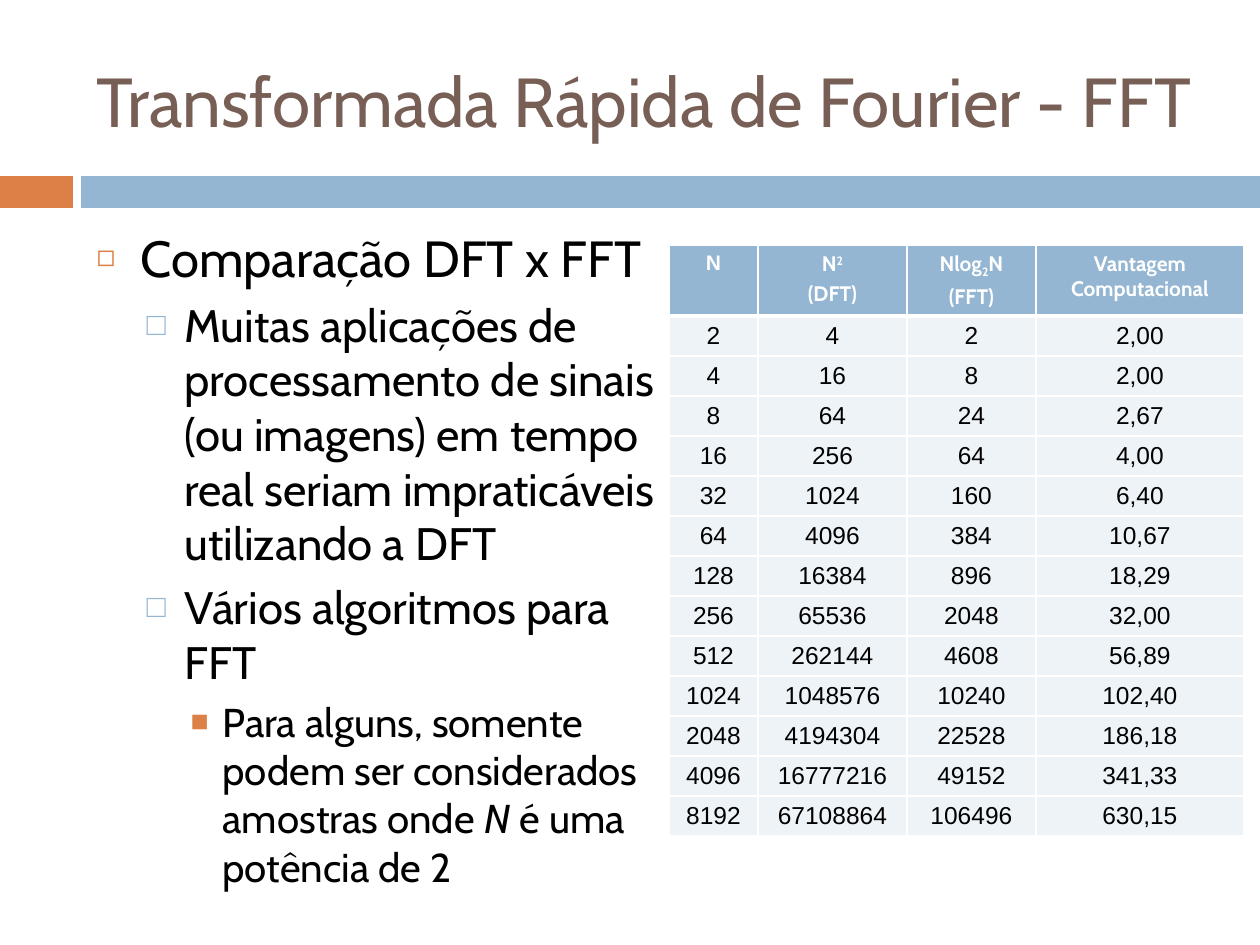
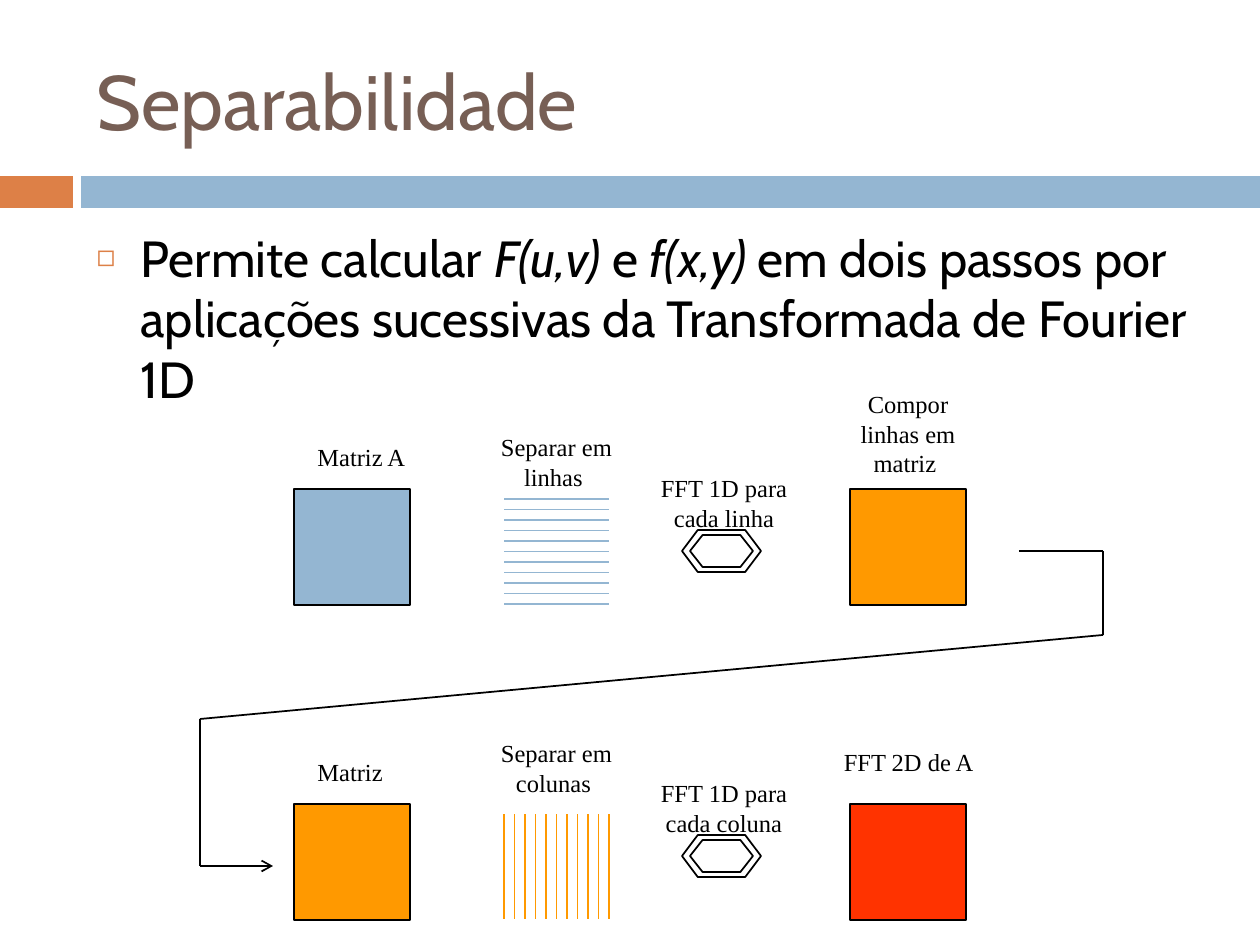
from lxml.etree import SubElement
from pptx import Presentation
from pptx.dml.color import RGBColor
from pptx.enum.shapes import MSO_CONNECTOR, MSO_SHAPE as Preset
from pptx.enum.text import MSO_ANCHOR as Anchor, MSO_AUTO_SIZE as AutoSize, PP_ALIGN as Align
from pptx.oxml.ns import qn
from pptx.util import Emu, Pt

WHITE = RGBColor(0xFF, 0xFF, 0xFF)
BLACK = RGBColor(0x00, 0x00, 0x00)
BROWN = RGBColor(0x77, 0x5F, 0x55)
RUST = RGBColor(0xDD, 0x80, 0x47)
BLUE = RGBColor(0x94, 0xB6, 0xD2)
PALE = RGBColor(0xEE, 0xF3, 0xF7)
ORANGE = RGBColor(0xFF, 0x99, 0x00)
RED = RGBColor(0xFF, 0x33, 0x00)

EMU_PER_PX = 914400 / 126
MAIN_FONT, TABLE_FONT, LABEL_FONT = "Cabin", "Arial", "Times New Roman"

# Each level: margin px, hanging px, space before, bullet, bullet colour, bullet %, text size
LEVELS = [
    (44, 44, 7, "◻", RUST, 60, 29),
    (88, 38, 5.5, "□", BLUE, 70, 26),
    (126, 32, 5, "■", RUST, 75, 23),
]
ITALIC = {"italic": True}
COMPARISON_POINTS = [
    (0, [("Comparação DFT x FFT", {})]),
    (1, [("Muitas aplicações de processamento de sinais (ou imagens) em tempo real "
          "seriam impraticáveis utilizando a DFT", {})]),
    (1, [("Vários algoritmos para FFT", {})]),
    (2, [("Para alguns, somente podem ser considerados amostras onde ", {}),
         ("N", ITALIC), (" é uma potência de 2", {})]),
]
SEPARABILITY_POINTS = [
    (0, [("Permite calcular ", {}), ("F(u,v)", ITALIC), (" e ", {}), ("f(x,y)", ITALIC),
         (" em dois passos por aplicações sucessivas da Transformada de Fourier 1D", {})]),
]
TABLE_HEADER = [
    [[("N", {"font": TABLE_FONT})]],
    [[("N", {}), ("2", {"baseline": 30})], [("(DFT)", {})]],
    [[("Nlog", {}), ("2", {"baseline": -25}), ("N", {})], [("(FFT)", {})]],
    [[("Vantagem Computacional", {})]],
]
ADVANTAGES = ["2,00", "2,00", "2,67", "4,00", "6,40", "10,67", "18,29", "32,00", "56,89",
              "102,40", "186,18", "341,33", "630,15"]


def px(length):
    """Turn pixels into EMU."""
    return Emu(round(length * EMU_PER_PX))


def write(paragraph, text, font=MAIN_FONT, size=14, color=BLACK, bold=False, italic=False,
          baseline=0):
    """Add one formatted run to a paragraph."""
    run = paragraph.add_run()
    run.text = text
    run.font.name = font
    run.font.size = Pt(size)
    run.font.color.rgb = color
    run.font.bold = bold
    run.font.italic = italic
    if baseline:
        run._r.get_or_add_rPr().set("baseline", str(baseline * 1000))


def place(shape, left, top, width, height):
    """Move and size a shape."""
    shape.left, shape.top, shape.width, shape.height = map(px, (left, top, width, height))


def add_preset(slide, preset, box, fill=None, line=None):
    """Draw a plain preset shape."""
    shape = slide.shapes.add_shape(preset, *map(px, box))
    shape.shadow.inherit = False
    if fill is None:
        shape.fill.background()
    else:
        shape.fill.solid()
        shape.fill.fore_color.rgb = fill
    if line is None:
        shape.line.fill.background()
    else:
        shape.line.color.rgb = line
        shape.line.width = Pt(1)
    return shape


def add_line(slide, start, end, color=BLACK, arrow=False):
    """Draw a straight line, optionally with an arrowhead at its end."""
    line = slide.shapes.add_connector(MSO_CONNECTOR.STRAIGHT, *map(px, (*start, *end)))
    line.line.color.rgb = color
    line.line.width = Pt(1)
    properties = line._element.spPr
    SubElement(properties, qn("a:effectLst"))
    if arrow:
        SubElement(properties.find(qn("a:ln")), qn("a:tailEnd"), type="arrow")


def add_label(slide, text, box, align=Align.CENTER):
    """Write a diagram caption."""
    frame = slide.shapes.add_textbox(*map(px, box)).text_frame
    frame.word_wrap = True
    paragraph = frame.paragraphs[0]
    paragraph.alignment = align
    write(paragraph, text, font=LABEL_FONT)


def add_bands(slide, layout, top=176, height=32):
    """Put the two coloured bands on the shared layout."""
    for left, width, color in ((0, 73, RUST), (81, 1179, BLUE)):
        band = add_preset(slide, Preset.RECTANGLE, (left, top, width, height), color)
        layout.shapes.element.append(band._element)


def fill_title(slide, text, size):
    """Format and fill the title placeholder."""
    title = slide.shapes.title
    place(title, 84, 32, 1124, 136)
    frame = title.text_frame
    frame.auto_size = AutoSize.NONE
    frame.vertical_anchor = Anchor.MIDDLE
    frame.paragraphs[0].alignment = Align.LEFT
    write(frame.paragraphs[0], text, size=size, color=BROWN)


def add_bullet(paragraph, margin, hanging, character, color, percent):
    """Give a paragraph its indent and bullet."""
    properties = paragraph._p.get_or_add_pPr()
    properties.set("marL", str(px(margin)))
    properties.set("indent", str(-px(hanging)))
    bullet_color = SubElement(properties, qn("a:buClr"))
    SubElement(bullet_color, qn("a:srgbClr"), val=str(color))
    SubElement(properties, qn("a:buSzPct"), val=str(percent * 1000))
    SubElement(properties, qn("a:buChar"), char=character)


def fill_body(slide, points, width):
    """Format and fill the body placeholder with levelled points."""
    body = slide.placeholders[1]
    place(body, 84, 220, width, 620)
    frame = body.text_frame
    frame.auto_size = AutoSize.NONE
    for index, (level, pieces) in enumerate(points):
        paragraph = frame.add_paragraph() if index else frame.paragraphs[0]
        margin, hanging, space, character, color, percent, size = LEVELS[level]
        paragraph.level = level
        add_bullet(paragraph, margin, hanging, character, color, percent)
        paragraph.space_before = Pt(space if index else 0)
        for text, options in pieces:
            write(paragraph, text, size=size, **options)


def fill_cell(cell, paragraphs, fill, bottom=1, **options):
    """Fill one table cell and draw its white borders."""
    properties = cell._tc.get_or_add_tcPr()
    for side, points in (("L", 1), ("R", 1), ("T", 1), ("B", bottom)):
        border = SubElement(properties, qn(f"a:ln{side}"), w=str(Pt(points)))
        SubElement(SubElement(border, qn("a:solidFill")), qn("a:srgbClr"), val=str(WHITE))
    cell.fill.solid()
    cell.fill.fore_color.rgb = fill
    cell.margin_top, cell.margin_bottom = px(6), px(5)
    for index, pieces in enumerate(paragraphs):
        frame = cell.text_frame
        paragraph = frame.add_paragraph() if index else frame.paragraphs[0]
        paragraph.alignment = Align.CENTER
        paragraph.space_before = Pt(2.4 if index else 0)
        for text, extra in pieces:
            write(paragraph, text, **{**options, **extra})


def add_cost_table(slide, left, top, header_height=71, row_height=40):
    """Compare the DFT and FFT operation counts for powers of two."""
    widths = [89, 149, 129, 208]
    row_count = len(ADVANTAGES)
    height = header_height + row_height * row_count
    box = map(px, (left, top, sum(widths), height))
    table = slide.shapes.add_table(row_count + 1, len(widths), *box).table
    for column, width in zip(table.columns, widths):
        column.width = px(width)
    for index, row in enumerate(table.rows):
        row.height = px(row_height if index else header_height)
    for column, paragraphs in enumerate(TABLE_HEADER):
        fill_cell(table.cell(0, column), paragraphs, BLUE, bottom=3,
                  size=12, color=WHITE, bold=True)
    for power, advantage in enumerate(ADVANTAGES, start=1):
        count = 2 ** power
        values = (count, count ** 2, count * power, advantage)
        for column, value in enumerate(values):
            fill_cell(table.cell(power, column), [[(str(value), {})]], PALE, font=TABLE_FONT)


def add_strips(slide, left, top, color, vertical, side=105, gaps=10):
    """Draw a matrix split into evenly spaced rows or columns."""
    for index in range(gaps + 1):
        offset = side * index / gaps
        if vertical:
            start, end = (left + offset, top + side), (left + offset, top)
        else:
            start, end = (left, top + offset), (left + side, top + offset)
        add_line(slide, start, end, color)


def add_transform(slide, left, top, text):
    """Draw the double hexagon with its caption above."""
    add_preset(slide, Preset.FLOWCHART_PREPARATION, (left + 8, top + 5, 63, 32), line=BLACK)
    add_preset(slide, Preset.FLOWCHART_PREPARATION, (left, top, 79, 42), line=BLACK)
    add_label(slide, text, (left - 42, top - 63, 168, 72))


def add_stage(slide, left, top, colors, captions, vertical, split_rise, transform_drop,
              result_rise):
    """Draw one pass: matrix, strips, transform and resulting matrix."""
    side = 116
    source_color, result_color = colors
    source, split, transform, result = captions
    add_preset(slide, Preset.RECTANGLE, (left, top, side, side), source_color, BLACK)
    add_label(slide, source, (left + 11, top - 53, 126, 42), Align.LEFT)
    add_strips(slide, left + 210, top + 10, source_color, vertical)
    add_label(slide, split, (left + 189, top - split_rise, 147, 72))
    add_transform(slide, left + 388, top + transform_drop, transform)
    add_preset(slide, Preset.RECTANGLE, (left + 556, top, side, side), result_color, BLACK)
    add_label(slide, result, (left + 535, top - result_rise, 158, 42))


def add_return_path(slide, left, top):
    """Lead from the end of the first pass to the start of the second."""
    corners = [(819, 0), (903, 0), (903, 84), (0, 168), (0, 315), (73, 315)]
    points = [(left + x, top + y) for x, y in corners]
    for start, end in zip(points, points[1:]):
        add_line(slide, start, end, arrow=end == points[-1])


def add_separability_diagram(slide, left, top):
    """Draw the two passes and the path between them."""
    add_stage(slide, left + 94, top, (BLUE, ORANGE),
              ("Matriz A", "Separar em linhas ", "FFT 1D para cada linha",
               "Compor linhas em matriz "),
              vertical=False, split_rise=63, transform_drop=41, result_rise=106)
    add_stage(slide, left + 94, top + 315, (ORANGE, RED),
              ("Matriz", "Separar em colunas ", "FFT 1D para cada coluna", "FFT 2D de A "),
              vertical=True, split_rise=72, transform_drop=31, result_rise=63)
    add_return_path(slide, left, top + 62)


def build_comparison(slide):
    """Build the DFT and FFT comparison slide."""
    fill_title(slide, "Transformada Rápida de Fourier - FFT", 39.6)
    fill_body(slide, COMPARISON_POINTS, 595)
    add_cost_table(slide, 669, 245)


def build_separability(slide):
    """Build the separability slide."""
    fill_title(slide, "Separabilidade", 44)
    fill_body(slide, SEPARABILITY_POINTS, 1124)
    add_separability_diagram(slide, 200, 489)


def main():
    """Build and save the presentation."""
    presentation = Presentation()
    presentation.slide_width, presentation.slide_height = px(1260), px(945)
    layout = presentation.slide_layouts[1]
    slides = [presentation.slides.add_slide(layout) for _ in range(2)]
    add_bands(slides[0], layout)
    build_comparison(slides[0])
    build_separability(slides[1])
    presentation.save("out.pptx")


if __name__ == "__main__":
    main()
